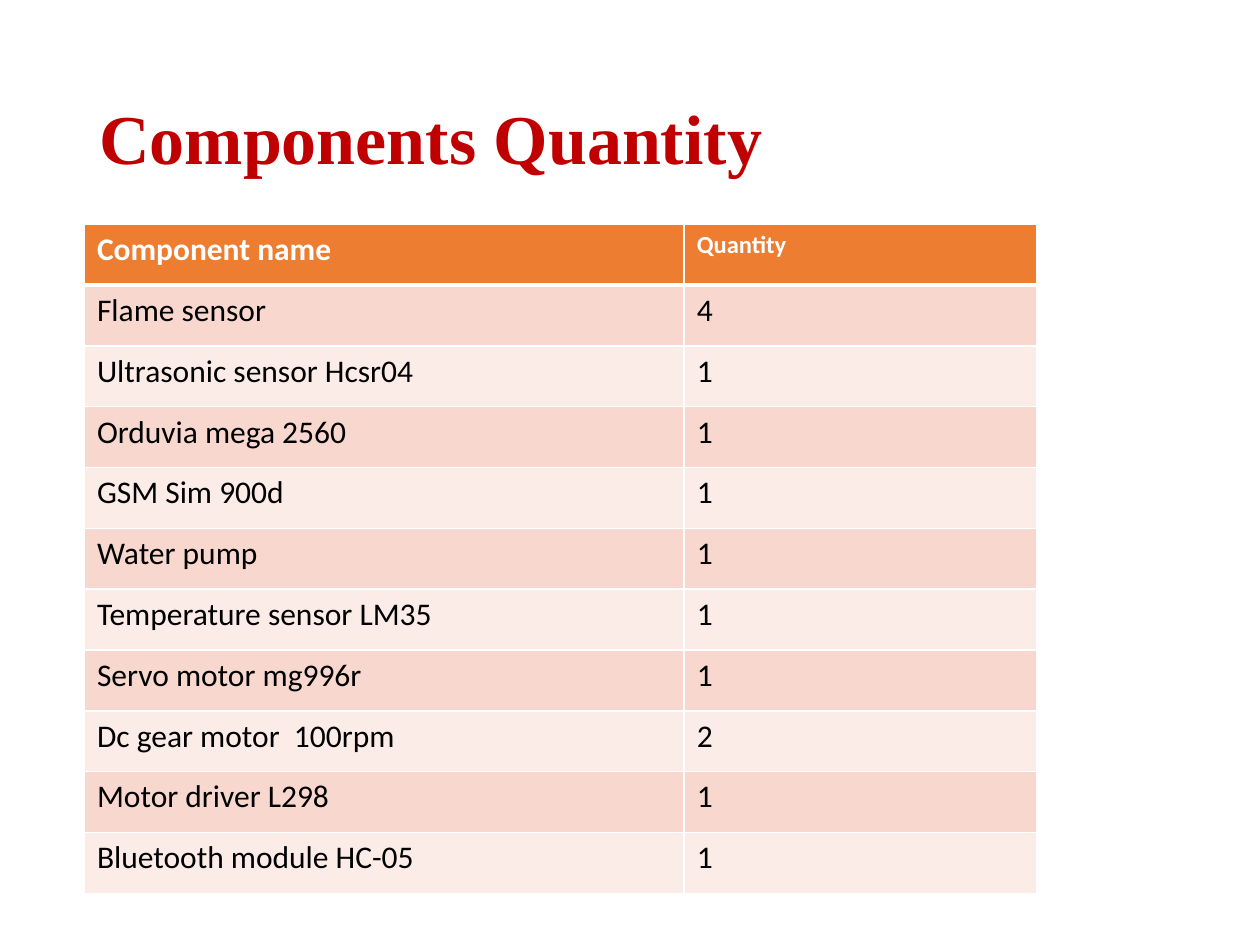
import pptx
import pptx.dml.color
import pptx.enum.text
import pptx.oxml.ns
import pptx.util
from lxml import etree

Inches, Pt = pptx.util.Inches, pptx.util.Pt
RGB = pptx.dml.color.RGBColor.from_string
qn = pptx.oxml.ns.qn

# Content
TITLE = "Components Quantity"
HEADER = ("Component name", "Quantity")
COMPONENTS = [
    ("Flame sensor", 4),
    ("Ultrasonic sensor Hcsr04", 1),
    ("Orduvia mega 2560", 1),
    ("GSM Sim 900d", 1),
    ("Water pump", 1),
    ("Temperature sensor LM35", 1),
    ("Servo motor mg996r", 1),
    ("Dc gear motor  100rpm", 2),
    ("Motor driver L298", 1),
    ("Bluetooth module HC-05", 1),
]

# Style
COLORS = {"title": "C00000", "header": "ED7D31", "odd": "F8D7CE",
          "even": "FCECE8", "white": "FFFFFF", "text": "000000"}
COL_WIDTHS = (4.76, 2.8)
HEADER_SIZES = (18, 14)
BODY_SIZE = 18
ROW_HEIGHT = 5.31 / (len(COMPONENTS) + 1)


def set_font(p, name, size, color, bold):
    p.font.name, p.font.size, p.font.bold = name, Pt(size), bold
    p.font.color.rgb = RGB(COLORS[color])


def add_borders(cell, top, bottom):
    tcPr = cell._tc.get_or_add_tcPr()
    for side, width in (("L", 1), ("R", 1), ("T", top), ("B", bottom)):
        ln = etree.SubElement(tcPr, qn(f"a:ln{side}"), w=str(Pt(width)))
        fill = etree.SubElement(ln, qn("a:solidFill"))
        etree.SubElement(fill, qn("a:srgbClr"), val=COLORS["white"])


prs = pptx.Presentation()
prs.slide_width, prs.slide_height = Inches(10), Inches(7.5)
s = prs.slides.add_slide(prs.slide_layouts[6])

# Title
tf = s.shapes.add_textbox(Inches(0.69), Inches(0.4), Inches(8.62), Inches(1.45)).text_frame
tf.word_wrap = True
tf.vertical_anchor = pptx.enum.text.MSO_ANCHOR.MIDDLE
p = tf.paragraphs[0]
p.text = TITLE
p.line_spacing = 0.9
set_font(p, "Times New Roman", 40, "title", True)

# Component table
rows = [HEADER] + COMPONENTS
table = s.shapes.add_table(len(rows), len(HEADER), Inches(0.67), Inches(1.78),
                           Inches(sum(COL_WIDTHS)), Inches(ROW_HEIGHT * len(rows))).table
for col, width in zip(table.columns, COL_WIDTHS):
    col.width = Inches(width)

for i, row in enumerate(rows):
    table.rows[i].height = Inches(ROW_HEIGHT)
    is_header = i == 0
    fill = "header" if is_header else "odd" if i % 2 else "even"
    for j, value in enumerate(row):
        cell = table.cell(i, j)
        add_borders(cell, top=3 if i == 1 else 1, bottom=3 if is_header else 1)
        cell.fill.solid()
        cell.fill.fore_color.rgb = RGB(COLORS[fill])
        p = cell.text_frame.paragraphs[0]
        p.text = str(value)
        set_font(p, "Calibri", HEADER_SIZES[j] if is_header else BODY_SIZE,
                 "white" if is_header else "text", is_header)

prs.save("out.pptx")
